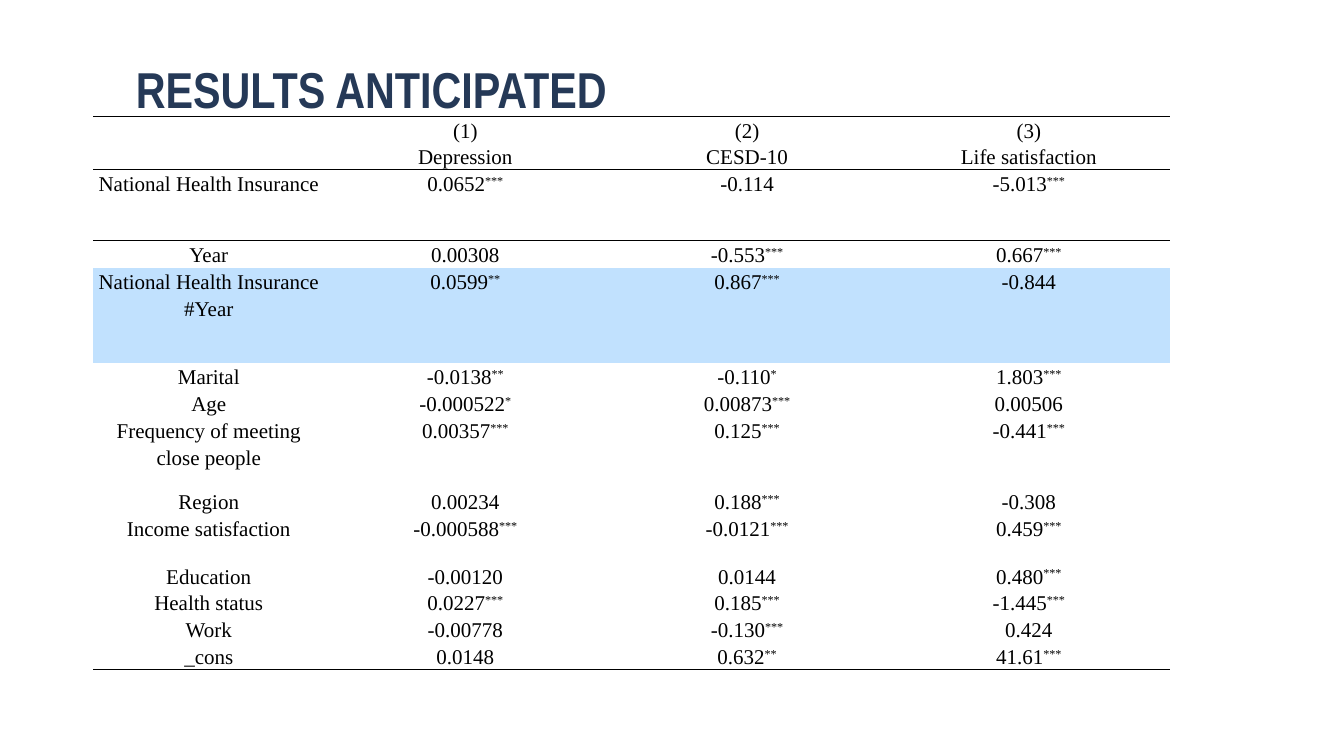
from dataclasses import dataclass

import lxml.etree
import pptx
import pptx.dml.color
import pptx.enum.text
import pptx.oxml
import pptx.oxml.ns
import pptx.util

Pt = pptx.util.Pt
Align = pptx.enum.text.PP_ALIGN

NAVY, BLACK, HIGHLIGHT = "253957", "000000", "C1E1FE"
NO_STYLE = "{2D5ABB26-0587-4C30-8999-92F81FD0307C}"
LINE_HEIGHT = 34
COLUMN_WIDTHS = (330.5, 402.5, 402.5, 402.5)


@dataclass
class ResultRow:
    label: str
    values: tuple[str, str, str]
    lines: int = 1
    fill: str | None = None
    borders: tuple[str, ...] = ()


RESULTS = [
    ResultRow("", ("(1)", "(2)", "(3)"), borders=("lnT",)),
    ResultRow("", ("Depression", "CESD-10", "Life satisfaction"), borders=("lnB",)),
    ResultRow("National Health Insurance", ("0.0652***", "-0.114", "-5.013***"),
              lines=3, borders=("lnT",)),
    ResultRow("Year", ("0.00308", "-0.553***", "0.667***")),
    ResultRow("National Health Insurance #Year", ("0.0599**", "0.867***", "-0.844"),
              lines=4, fill=HIGHLIGHT),
    ResultRow("Marital", ("-0.0138**", "-0.110*", "1.803***")),
    ResultRow("Age", ("-0.000522*", "0.00873***", "0.00506")),
    ResultRow("Frequency of meeting close people", ("0.00357***", "0.125***", "-0.441***"),
              lines=3),
    ResultRow("Region", ("0.00234", "0.188***", "-0.308")),
    ResultRow("Income satisfaction", ("-0.000588***", "-0.0121***", "0.459***"), lines=2),
    ResultRow("Education", ("-0.00120", "0.0144", "0.480***")),
    ResultRow("Health status", ("0.0227***", "0.185***", "-1.445***")),
    ResultRow("Work", ("-0.00778", "-0.130***", "0.424")),
    ResultRow("_cons", ("0.0148", "0.632**", "41.61***"), borders=("lnB",)),
]


def rgb(color: str) -> pptx.dml.color.RGBColor:
    return pptx.dml.color.RGBColor.from_string(color)


def write_text(frame, text: str, *, font: str, size: float, color: str,
               bold: bool = False, align=Align.LEFT, spacing: float = 1.0) -> None:
    """Write one paragraph, raising any trailing significance stars."""
    paragraph = frame.paragraphs[0]
    paragraph.alignment, paragraph.line_spacing = align, spacing
    number = text.rstrip("*")
    stars = text[len(number):]
    for part in filter(None, (number, stars)):
        run = paragraph.add_run()
        run.text = part
        run.font.name, run.font.size, run.font.bold = font, Pt(size), bold
        run.font.color.rgb = rgb(color)
        if part == stars:
            run.font._element.set("baseline", "30000")


def add_border(cell, side: str) -> None:
    line = pptx.oxml.parse_xml(
        f'<a:{side} {pptx.oxml.ns.nsdecls("a")} w="{Pt(1)}"><a:solidFill>'
        f'<a:srgbClr val="{BLACK}"/></a:solidFill></a:{side}>')
    cell._tc.get_or_add_tcPr().append(line)


def fill_cell(cell, text: str, row: ResultRow) -> None:
    cell.margin_left = cell.margin_right = Pt(5)
    cell.margin_top = cell.margin_bottom = 0
    for side in row.borders:
        add_border(cell, side)
    if row.fill:
        cell.fill.solid()
        cell.fill.fore_color.rgb = rgb(row.fill)
    else:
        cell.fill.background()
    write_text(cell.text_frame, text, font="Times New Roman", size=30, color=BLACK,
               align=Align.CENTER, spacing=1.15)


def add_title(slide, text: str) -> None:
    title = slide.shapes.title
    title.left, title.top, title.width, title.height = map(Pt, (188, 77, 1693.5, 182))
    frame = title.text_frame
    frame.margin_left = frame.margin_right = frame.margin_top = frame.margin_bottom = Pt(6)
    frame.vertical_anchor = pptx.enum.text.MSO_ANCHOR.TOP
    frame.auto_size = pptx.enum.text.MSO_AUTO_SIZE.NONE
    write_text(frame, text, font="Arial Narrow", size=72, color=NAVY, bold=True)


def add_results(slide, results: list[ResultRow]) -> None:
    graphic = slide.shapes.add_table(len(results), len(COLUMN_WIDTHS), Pt(133), Pt(165.5),
                                     Pt(sum(COLUMN_WIDTHS)), Pt(LINE_HEIGHT))
    table = graphic.table
    table.first_row = table.horz_banding = False
    table._tbl.tblPr.find(pptx.oxml.ns.qn("a:tableStyleId")).text = NO_STYLE
    for column, width in zip(table.columns, COLUMN_WIDTHS):
        column.width = Pt(width)
    for table_row, result in zip(table.rows, results):
        table_row.height = Pt(LINE_HEIGHT * result.lines)
        for cell, text in zip(table_row.cells, (result.label, *result.values)):
            fill_cell(cell, text, result)
    graphic.height = Pt(822)


def main() -> None:
    deck = pptx.Presentation()
    deck.slide_width, deck.slide_height = Pt(1920), Pt(1080)
    slide = deck.slides.add_slide(deck.slide_layouts[5])  # Title Only

    # Heading, then the regression table below it
    add_title(slide, "RESULTS ANTICIPATED")
    add_results(slide, RESULTS)
    deck.save("out.pptx")


if __name__ == "__main__":
    main()
